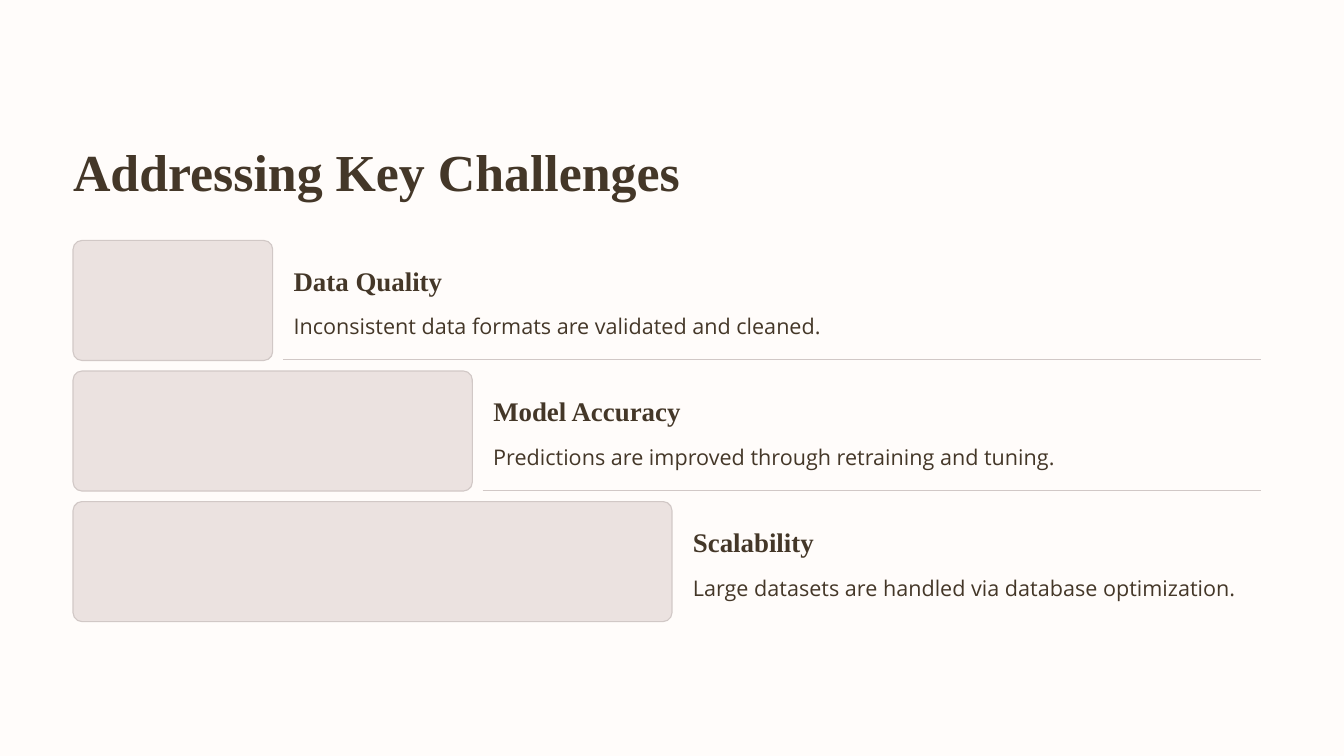
from pptx import Presentation
from pptx.dml.color import RGBColor
from pptx.enum.shapes import MSO_CONNECTOR as Connector, MSO_SHAPE as Shape
from pptx.enum.text import MSO_ANCHOR as Anchor
from pptx.oxml.ns import qn
from pptx.util import Pt
from lxml.etree import SubElement

PAPER, INK, BAR, EDGE = "FFFCFA", "443728", "EBE2E0", "D1C8C6"
LEFT, RIGHT, TOP = 78.3, 1350.7, 257.6
BAR_STEP, BAR_HEIGHT, ROW_PITCH = 213.9, 128.6, 139.9
CHALLENGES = [
    ("Data Quality", "Inconsistent data formats are validated and cleaned."),
    ("Model Accuracy", "Predictions are improved through retraining and tuning."),
    ("Scalability", "Large datasets are handled via database optimization."),
]


def color(value):
    return RGBColor.from_string(value)


def write(box, text, *, size, font, leading, bold=False, ink=INK):
    para = box.text_frame.paragraphs[0]
    para.line_spacing = Pt(leading)
    span = para.add_run()
    span.text = text
    span.font.size = Pt(size)
    span.font.name = font
    span.font.bold = bold
    span.font.color.rgb = color(ink)


class Canvas:
    """Draws styled elements on the current page."""

    heading = {"size": 28.8, "font": "Times New Roman", "leading": 43.1, "bold": True}
    title = {**heading, "size": 55.6, "leading": 83.2}
    body = {"size": 23.1, "font": "Open Sans", "leading": 45.2}

    def __init__(self, page):
        self.page = page
        page.background.fill.solid()
        page.background.fill.fore_color.rgb = color(PAPER)

    def text(self, text, left, top, width, height, style):
        box = self.page.shapes.add_textbox(Pt(left), Pt(top), Pt(width), Pt(height))
        frame = box.text_frame
        frame.word_wrap = True
        frame.vertical_anchor = Anchor.TOP
        frame.margin_left = frame.margin_right = frame.margin_top = frame.margin_bottom = 0
        write(box, text, **style)

    def bar(self, left, top, width, height, radius=9.5):
        bar = self.page.shapes.add_shape(
            Shape.ROUNDED_RECTANGLE, Pt(left), Pt(top), Pt(width), Pt(height))
        bar.adjustments[0] = radius / height
        bar.shadow.inherit = False
        bar.fill.solid()
        bar.fill.fore_color.rgb = color(BAR)
        bar.line.color.rgb = color(EDGE)
        bar.line.width = Pt(1.2)

    def rule(self, left, right, y):
        rule = self.page.shapes.add_connector(
            Connector.STRAIGHT, Pt(left), Pt(y), Pt(right), Pt(y))
        rule.line.color.rgb = color(EDGE)
        rule.line.width = Pt(1.2)
        SubElement(rule._element.spPr, qn("a:effectLst"))


def main():
    deck = Presentation()
    deck.slide_width, deck.slide_height = Pt(1440), Pt(810)
    canvas = Canvas(deck.slides.add_slide(deck.slide_layouts[6]))
    canvas.text("Addressing Key Challenges", LEFT, 133.2, 751, 80.6, canvas.title)

    for row, (name, remedy) in enumerate(CHALLENGES):
        top = TOP + row * ROW_PITCH
        width = BAR_STEP * (row + 1)
        text_left = LEFT + width + 22.4
        canvas.bar(LEFT, top, width, BAR_HEIGHT)
        canvas.text(name, text_left, top + 17.3, 279.4, 40.3, canvas.heading)
        canvas.text(remedy, text_left, top + 60.7, 668, 46.1, canvas.body)
        if row < len(CHALLENGES) - 1:
            canvas.rule(LEFT + width + 11, RIGHT, top + 128)

    deck.save("out.pptx")


if __name__ == "__main__":
    main()
